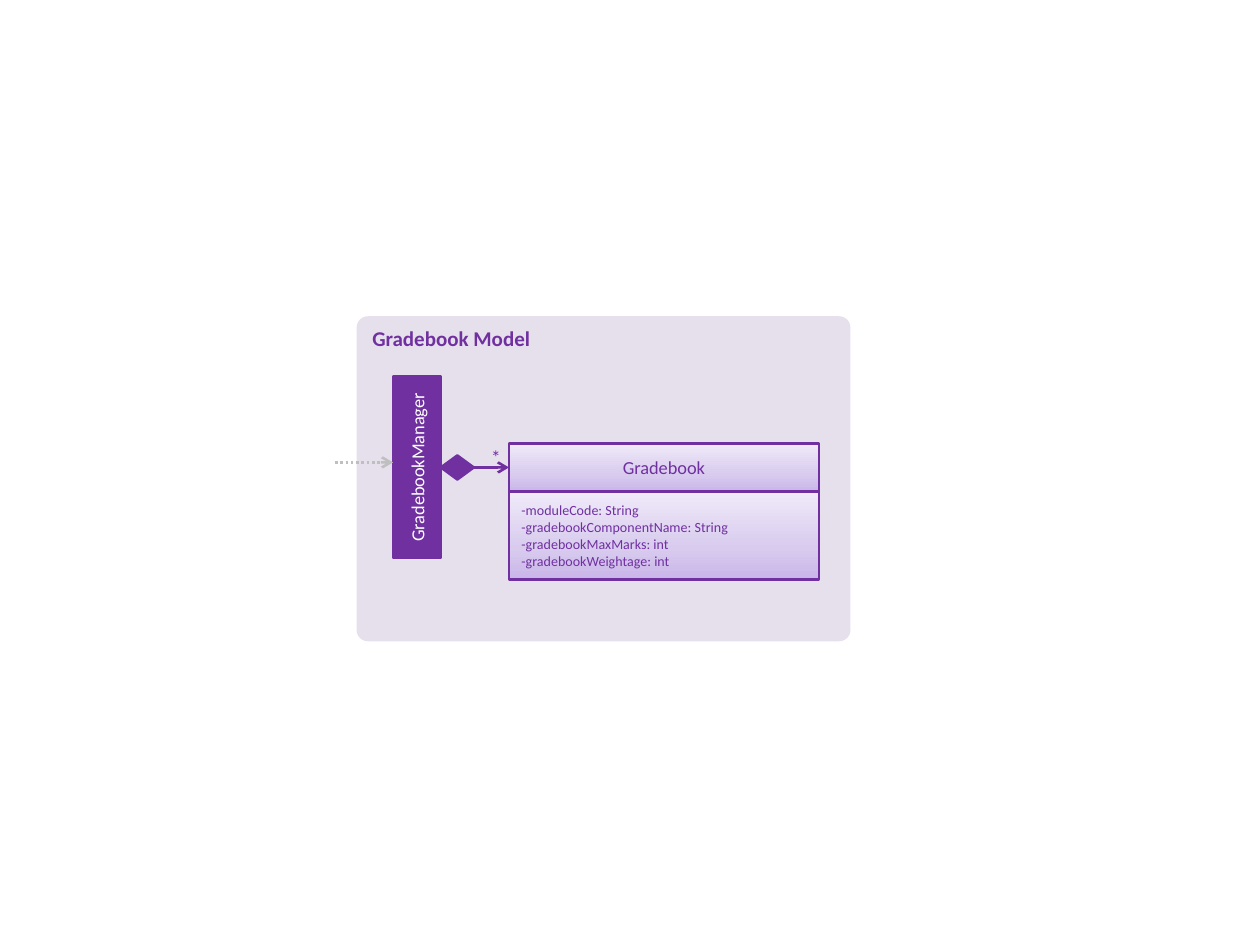
import copy

import pptx
import pptx.dml.color
import pptx.enum.dml
import pptx.enum.shapes
import pptx.enum.text
import pptx.oxml
import pptx.oxml.ns
import pptx.util

PURPLE, LILAC, GRAY, WHITE = "7030A0", "E6E0EC", "BFBFBF", "FFFFFF"
SHADES = [(0, "C9B5E8"), (0.35, "D8CBEE"), (1, "F0EAF9")]

TITLE = "Gradebook Model"
MANAGER = "GradebookManager"
ENTITY = "Gradebook"
ATTRIBUTES = [
    "-moduleCode: String",
    "-gradebookComponentName: String",
    "-gradebookMaxMarks: int",
    "-gradebookWeightage: int",
]
MANY = "*"

# Layout in inches; the main row runs through the manager, diamond and entity.
AXIS_Y = 3.71
BAR = 0.38
MANAGER_X, MANAGER_LENGTH = 3.31, 1.44
ENTITY_LEFT, ENTITY_WIDTH, ATTRIBUTES_HEIGHT = 4.04, 2.46, 0.7
DIAMOND_LEFT, DIAMOND_WIDTH, DIAMOND_HEIGHT = 3.5, 0.26, 0.19
CALL_START, CALL_Y = 2.66, 3.67

SHAPE = pptx.enum.shapes.MSO_SHAPE
CONNECTOR = pptx.enum.shapes.MSO_CONNECTOR
ALIGN = pptx.enum.text.PP_ALIGN
ANCHOR = pptx.enum.text.MSO_ANCHOR
inches = pptx.util.Inches


def rgb(value):
    return pptx.dml.color.RGBColor.from_string(value)


def write(shape, text, size, color, align=ALIGN.CENTER, anchor=ANCHOR.MIDDLE, bold=False):
    frame = shape.text_frame
    frame.text = text
    frame.word_wrap = True
    frame.vertical_anchor = anchor
    for paragraph in frame.paragraphs:
        paragraph.alignment = align
        font = paragraph.runs[0].font
        font.name, font.size, font.bold = "Calibri", pptx.util.Pt(size), bold
        font.color.rgb = rgb(color)


def shade(shape):
    """Fill with the three-stop gradient, darkest at the bottom."""
    fill = shape.fill
    fill.gradient()
    fill.gradient_angle = 90
    stops = shape.element.spPr.find(".//" + pptx.oxml.ns.qn("a:gsLst"))
    stops.append(copy.deepcopy(stops[-1]))
    for stop, (position, color) in zip(fill.gradient_stops, SHADES):
        stop.position = position
        stop.color.rgb = rgb(color)


def add_box(slide, kind, left, top, width, height, fill=None, line=PURPLE):
    """Add a shape; without a fill colour it gets the gradient."""
    box = slide.shapes.add_shape(kind, *map(inches, (left, top, width, height)))
    box.shadow.inherit = False
    if fill:
        box.fill.solid()
        box.fill.fore_color.rgb = rgb(fill)
    else:
        shade(box)
    if line:
        box.line.color.rgb = rgb(line)
        box.line.width = pptx.util.Pt(1.5)
    else:
        box.line.fill.background()
    return box


def add_arrow(slide, kind, start, end, y, color):
    arrow = slide.shapes.add_connector(kind, *map(inches, (start, y, end, y)))
    arrow.line.color.rgb = rgb(color)
    arrow.line.width = pptx.util.Pt(1.5)
    properties = arrow.element.spPr
    line = properties.find(pptx.oxml.ns.qn("a:ln"))
    tail = pptx.oxml.parse_xml(f'<a:tailEnd {pptx.oxml.ns.nsdecls("a")} type="arrow"/>')
    line.append(tail)
    properties.append(pptx.oxml.parse_xml(f'<a:effectLst {pptx.oxml.ns.nsdecls("a")}/>'))
    return arrow


def main():
    deck = pptx.Presentation()
    deck.slide_width, deck.slide_height = inches(10), inches(7.5)
    slide = deck.slides.add_slide(deck.slide_layouts[6])
    bar_top = AXIS_Y - BAR / 2

    model = add_box(slide, SHAPE.ROUNDED_RECTANGLE, 2.83, 2.51, 3.92, 2.58, LILAC, None)
    model.adjustments[0] = 0.035
    write(model, TITLE, 12, PURPLE, ALIGN.LEFT, ANCHOR.TOP, True)

    manager = add_box(slide, SHAPE.RECTANGLE, MANAGER_X - MANAGER_LENGTH / 2, bar_top,
                      MANAGER_LENGTH, BAR, PURPLE)
    manager.rotation = 270
    write(manager, MANAGER, 10.5, WHITE)

    call = add_arrow(slide, CONNECTOR.ELBOW, CALL_START, MANAGER_X - BAR / 2, CALL_Y, GRAY)
    call.line.dash_style = pptx.enum.dml.MSO_LINE.ROUND_DOT

    composition = add_arrow(slide, CONNECTOR.STRAIGHT, DIAMOND_LEFT + DIAMOND_WIDTH,
                            ENTITY_LEFT, AXIS_Y, PURPLE)

    entity = add_box(slide, SHAPE.RECTANGLE, ENTITY_LEFT, bar_top, ENTITY_WIDTH, BAR)
    write(entity, ENTITY, 10.5, PURPLE)

    many = slide.shapes.add_textbox(*map(inches, (3.84, 3.53, 0.19, 0.15)))
    write(many, MANY, 11, PURPLE, anchor=ANCHOR.TOP)
    frame = many.text_frame
    frame.margin_left = frame.margin_right = frame.margin_top = frame.margin_bottom = 0

    attributes = add_box(slide, SHAPE.RECTANGLE, ENTITY_LEFT, bar_top + BAR,
                         ENTITY_WIDTH, ATTRIBUTES_HEIGHT)
    write(attributes, "\n".join(ATTRIBUTES), 8, PURPLE, ALIGN.LEFT)

    diamond = add_box(slide, SHAPE.FLOWCHART_DECISION, DIAMOND_LEFT,
                      AXIS_Y - DIAMOND_HEIGHT / 2, DIAMOND_WIDTH, DIAMOND_HEIGHT, PURPLE)
    composition.begin_connect(diamond, 3)
    composition.end_connect(entity, 1)

    deck.save("out.pptx")


if __name__ == "__main__":
    main()
